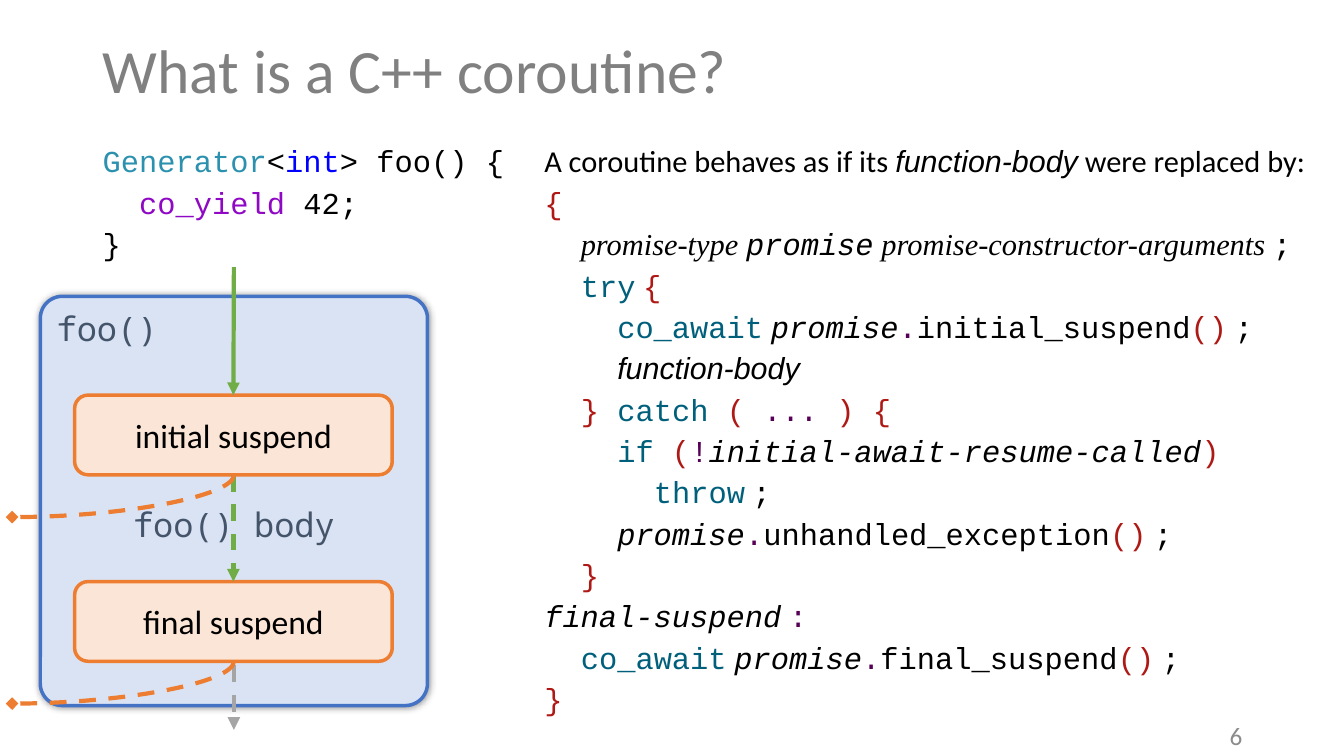
from dataclasses import dataclass
from typing import NamedTuple, Optional

from lxml.etree import SubElement
from pptx import Presentation
from pptx.dml.color import RGBColor
from pptx.enum.dml import MSO_LINE
from pptx.enum.shapes import MSO_CONNECTOR, MSO_SHAPE
from pptx.enum.text import MSO_ANCHOR, PP_ALIGN
from pptx.oxml.ns import qn
from pptx.util import Inches, Pt


@dataclass(frozen=True)
class Theme:
    title: str = "808080"
    number: str = "8C8C8C"
    text: str = "000000"
    slate: str = "44546A"
    frame_fill: str = "DAE3F3"
    frame_line: str = "4472C4"
    step_fill: str = "FBE5D6"
    orange: str = "ED7D31"
    green: str = "70AD47"
    gray: str = "A5A5A5"
    title_size: float = 44
    code_size: float = 21.7
    diagram_size: float = 24
    number_size: float = 18
    outline: float = 2.5
    arrow: float = 3


class Style(NamedTuple):
    font: str
    color: str = "000000"
    italic: bool = False


class Span(NamedTuple):
    text: str
    style: Style


class Box(NamedTuple):
    left: float
    top: float
    width: float
    height: float


class Arrow(NamedTuple):
    top: float
    bottom: float
    color: str
    dashed: bool
    source: Optional[str] = None
    target: Optional[str] = None


THEME = Theme()
MONO = "Courier New"
PROSE = Style("Calibri")
CODE = Style(MONO)
VARIABLE = Style(MONO, italic=True)
TYPE = Style(MONO, "2B91AF")
BUILTIN = Style(MONO, "0000FF")
YIELD = Style(MONO, "8F08C4")
KEYWORD = Style(MONO, "00607C")
BRACKET = Style(MONO, "AF1915")
OPERATOR = Style(MONO, "570057")
GRAMMAR = Style("Arial", italic=True)
TERM = Style("Times New Roman", italic=True)
DIAGRAM_CODE = Style("Noto Sans Mono", THEME.slate)

GAP = Span(" ", Style("Times New Roman"))
PROMISE = Span("promise", VARIABLE)
CALL_END = [Span("()", BRACKET), GAP, Span(";", CODE)]


def indent(level: int) -> Span:
    return Span("  " * level, CODE)


def promise_call(method: str) -> list[Span]:
    return [PROMISE, Span(".", OPERATOR), Span(method, CODE), *CALL_END]


def await_call(level: int, method: str) -> list[Span]:
    return [indent(level), Span("co_await", KEYWORD), GAP, *promise_call(method)]


GENERATOR_LINES = [
    [Span("Generator", TYPE), Span("<", CODE), Span("int", BUILTIN), Span("> foo() {", CODE)],
    [indent(1), Span("co_yield", YIELD), Span(" 42;", CODE)],
    [Span("}", CODE)],
]

EXPANSION_LINES = [
    [Span("A coroutine behaves as if its ", PROSE), Span("function-body", GRAMMAR),
     Span(" were replaced by:", PROSE)],
    [Span("{", BRACKET)],
    [indent(1), Span("promise-type ", TERM), PROMISE,
     Span(" promise-constructor-arguments ", TERM), Span(";", CODE)],
    [indent(1), Span("try", KEYWORD), GAP, Span("{", BRACKET)],
    await_call(2, "initial_suspend"),
    [indent(2), Span("function-body", GRAMMAR)],
    [indent(1), Span("} ", BRACKET), Span("catch ", KEYWORD), Span("( ", BRACKET),
     Span("... ", OPERATOR), Span(") {", BRACKET)],
    [indent(2), Span("if ", KEYWORD), Span("(", BRACKET), Span("!", OPERATOR),
     Span("initial-await-resume-called", VARIABLE), Span(")", BRACKET)],
    [indent(3), Span("throw", KEYWORD), GAP, Span(";", CODE)],
    [indent(2), *promise_call("unhandled_exception")],
    [indent(1), Span("}", BRACKET)],
    [Span("final-suspend", VARIABLE), GAP, Span(":", OPERATOR)],
    await_call(1, "final_suspend"),
    [Span("}", BRACKET)],
]

CENTER = 2.32
FRAME = Box(0.4, 2.94, 3.84, 4.06)
STEPS = {
    "initial suspend": Box(0.74, 3.92, 3.15, 0.79),
    "final suspend": Box(0.74, 5.77, 3.15, 0.79),
}
ARROWS = [
    Arrow(2.65, 3.92, THEME.green, False, target="initial suspend"),
    Arrow(4.71, 5.77, THEME.green, True, "initial suspend", "final suspend"),
    Arrow(6.6, 7.24, THEME.gray, True),
]
EXIT_WIDTH, EXIT_DROP = 2.2, 0.42


def set_font(font, style: Style) -> None:
    font.name = style.font
    font.italic = style.italic
    font.color.rgb = RGBColor.from_string(style.color)


def write(frame, lines: list[list[Span]], size: float, align=PP_ALIGN.LEFT,
          spacing: float = 1, before: float = 0, anchor=MSO_ANCHOR.TOP) -> None:
    frame.word_wrap = True
    frame.vertical_anchor = anchor
    for index, spans in enumerate(lines):
        paragraph = frame.add_paragraph() if index else frame.paragraphs[0]
        paragraph.alignment = align
        paragraph.line_spacing = spacing
        paragraph.space_before = Pt(before if index else 0)
        paragraph.font.size = Pt(size)
        uniform = len({span.style for span in spans}) == 1
        if uniform:
            set_font(paragraph.font, spans[0].style)
        for span in spans:
            run = paragraph.add_run()
            run.text = span.text
            if not uniform:
                set_font(run.font, span.style)


def add_text(slide, box: Box, lines: list[list[Span]], size: float, **options) -> None:
    write(slide.shapes.add_textbox(*map(Inches, box)).text_frame, lines, size, **options)


def add_rounded(slide, box: Box, fill: str, line: str):
    shape = slide.shapes.add_shape(MSO_SHAPE.ROUNDED_RECTANGLE, *map(Inches, box))
    shape.shadow.inherit = False
    shape.fill.solid()
    shape.fill.fore_color.rgb = RGBColor.from_string(fill)
    shape.line.color.rgb = RGBColor.from_string(line)
    shape.line.width = Pt(THEME.outline)
    return shape


def add_glow(shape) -> None:
    effects = shape._element.spPr.find(qn("a:effectLst"))
    shadow = SubElement(effects, qn("a:outerShdw"), blurRad=str(Pt(5)), dist="0", dir="0")
    color = SubElement(shadow, qn("a:srgbClr"), val=THEME.text)
    SubElement(color, qn("a:alpha"), val="40000")


def add_line(slide, kind, ends: tuple, color: str, dashed: bool, head: str):
    connector = slide.shapes.add_connector(kind, *map(Inches, ends))
    connector.line.color.rgb = RGBColor.from_string(color)
    connector.line.width = Pt(THEME.arrow)
    if dashed:
        connector.line.dash_style = MSO_LINE.DASH
    properties = connector._element.spPr
    SubElement(properties.find(qn("a:ln")), qn("a:tailEnd"), type=head)
    SubElement(properties, qn("a:effectLst"))
    return connector


def add_exit(slide, step: Box) -> None:
    middle_x = CENTER - EXIT_WIDTH / 2
    middle_y = step.top + step.height + EXIT_DROP / 2
    ends = (middle_x - EXIT_DROP / 2, middle_y - EXIT_WIDTH / 2,
            middle_x + EXIT_DROP / 2, middle_y + EXIT_WIDTH / 2)
    curve = add_line(slide, MSO_CONNECTOR.CURVE, ends, THEME.orange, True, "diamond")
    properties = curve._element.spPr
    properties.find(qn("a:xfrm")).set("rot", "5400000")
    properties.find(qn("a:prstGeom")).set("prst", "curvedConnector2")


def add_diagram(slide) -> None:
    frame = add_rounded(slide, FRAME, THEME.frame_fill, THEME.frame_line)
    frame.adjustments[0] = 0.057
    add_glow(frame)
    labels = [[Span(text, DIAGRAM_CODE)] for text in ("foo()", "foo() body")]
    write(frame.text_frame, labels, THEME.diagram_size, before=111)
    frame.text_frame.paragraphs[1].alignment = PP_ALIGN.CENTER
    shapes = {}
    for label, box in STEPS.items():
        shapes[label] = add_rounded(slide, box, THEME.step_fill, THEME.orange)
        write(shapes[label].text_frame, [[Span(label, PROSE)]], THEME.diagram_size,
              align=PP_ALIGN.CENTER, anchor=MSO_ANCHOR.MIDDLE)
    for arrow in ARROWS:
        connector = add_line(slide, MSO_CONNECTOR.STRAIGHT, (CENTER, arrow.top, CENTER, arrow.bottom),
                             arrow.color, arrow.dashed, "triangle")
        if arrow.source:
            connector.begin_connect(shapes[arrow.source], 2)
        if arrow.target:
            connector.end_connect(shapes[arrow.target], 0)
    for box in STEPS.values():
        add_exit(slide, box)


def main() -> None:
    presentation = Presentation()
    presentation.slide_width, presentation.slide_height = Inches(13.33), Inches(7.5)
    slide = presentation.slides.add_slide(presentation.slide_layouts[6])
    add_text(slide, Box(0.92, 0, 11.5, 1.45), [[Span("What is a C++ coroutine?", Style("Calibri", THEME.title))]],
             THEME.title_size, spacing=0.9, anchor=MSO_ANCHOR.MIDDLE)
    add_text(slide, Box(0.92, 1.45, 4.23, 5.65), GENERATOR_LINES, THEME.code_size, spacing=0.75, before=10)
    add_text(slide, Box(5.3, 1.45, 8.04, 5.65), EXPANSION_LINES, THEME.code_size,
             align=PP_ALIGN.JUSTIFY, spacing=0.75, before=10)
    add_text(slide, Box(9.42, 7.1, 3, 0.4), [[Span("6", Style("Calibri", THEME.number))]],
             THEME.number_size, align=PP_ALIGN.RIGHT, anchor=MSO_ANCHOR.MIDDLE)
    add_diagram(slide)
    presentation.save("out.pptx")


if __name__ == "__main__":
    main()
